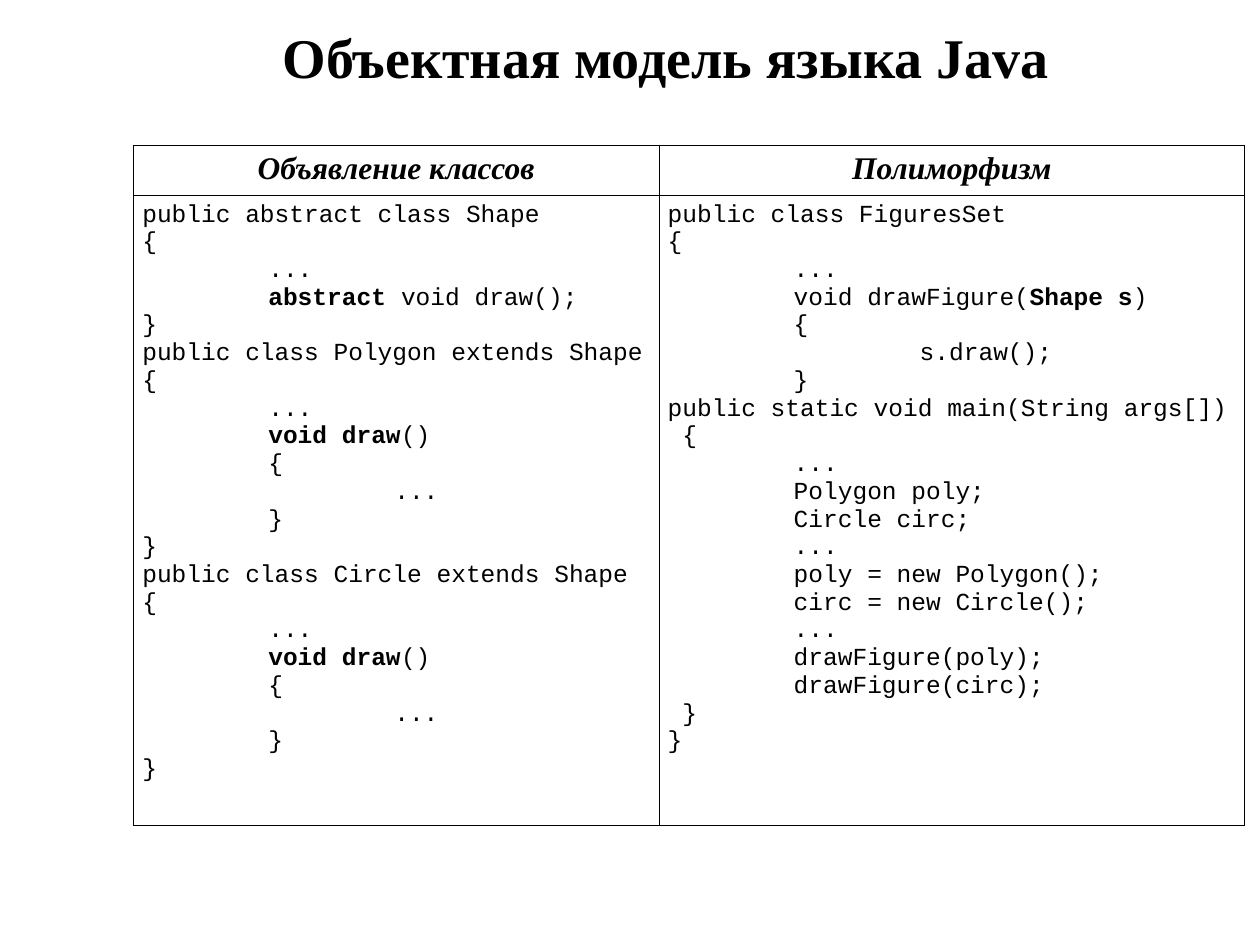
from dataclasses import dataclass

from lxml.etree import SubElement
from pptx import Presentation
from pptx.dml.color import RGBColor
from pptx.enum.text import MSO_ANCHOR, PP_ALIGN
from pptx.oxml.ns import qn
from pptx.util import Inches, Pt


@dataclass(frozen=True)
class Theme:
    ink: str = "000000"
    heading_font: str = "Times New Roman"
    code_font: str = "Courier New"
    title_size: float = 32
    header_size: float = 18
    code_size: float = 14
    border_width: float = 0.45


# Code listings: ** switches bold on and off
DRAW_METHOD = ["\t...", "**\tvoid draw**()", "\t{", "\t\t...", "\t}", "}"]
CLASSES = [
    "public abstract class Shape",
    "{",
    "\t...",
    "**\tabstract **void draw();",
    "}",
    "public class Polygon extends Shape {",
    *DRAW_METHOD,
    "public class Circle extends Shape",
    "{",
    *DRAW_METHOD,
]
POLYMORPHISM = [
    "public class FiguresSet",
    "{",
    "\t...",
    "\tvoid drawFigure(**Shape s**)",
    "\t{",
    "\t\ts.draw();",
    "\t}",
    "public static void main(String args[])",
    " {",
    "\t...",
    "\tPolygon poly;",
    "\tCircle circ;",
    "\t...",
    "\tpoly = new Polygon();",
    "\tcirc = new Circle();",
    "\t...",
    "\tdrawFigure(poly);",
    "\tdrawFigure(circ);",
    " }",
    "}",
]


class SlideBuilder:
    def __init__(self, s, theme):
        self.s = s
        self.theme = theme

    def run(self, p, text, font, size, bold=False, italic=False):
        r = p.add_run()
        r.text = text
        r.font.name = font
        r.font.size = Pt(size)
        r.font.bold = bold
        r.font.italic = italic
        r.font.color.rgb = RGBColor.from_string(self.theme.ink)

    def title(self, text, left, top, width, height):
        sp = self.s.shapes.add_textbox(Inches(left), Inches(top), Inches(width), Inches(height))
        tf = sp.text_frame
        tf.word_wrap = True
        tf.vertical_anchor = MSO_ANCHOR.MIDDLE
        p = tf.paragraphs[0]
        p.alignment = PP_ALIGN.CENTER
        self.run(p, text, self.theme.heading_font, self.theme.title_size, bold=True)

    def tab_stops(self, p):
        tabs = SubElement(p._p.get_or_add_pPr(), qn("a:tabLst"))
        for inch in range(8):
            SubElement(tabs, qn("a:tab"), pos=str(Inches(inch)), algn="l")

    def header(self, cell, text):
        p = cell.text_frame.paragraphs[0]
        p.alignment = PP_ALIGN.CENTER
        self.run(p, text, self.theme.heading_font, self.theme.header_size, bold=True, italic=True)

    def code(self, cell, lines):
        tf = cell.text_frame
        for i, line in enumerate(lines):
            p = tf.add_paragraph() if i else tf.paragraphs[0]
            self.tab_stops(p)
            for n, part in enumerate(line.split("**")):
                if part:
                    self.run(p, part, self.theme.code_font, self.theme.code_size, bold=n % 2 == 1)

    def frame(self, cell):
        cell.margin_left = cell.margin_right = Inches(0.07)
        cell.margin_top = cell.margin_bottom = Inches(0.05)
        tc_pr = cell._tc.get_or_add_tcPr()
        for side in "LRTB":
            ln = SubElement(tc_pr, qn(f"a:ln{side}"), w=str(Pt(self.theme.border_width)))
            SubElement(SubElement(ln, qn("a:solidFill")), qn("a:srgbClr"), val=self.theme.ink)
        cell.fill.background()

    def code_table(self, columns, left, top, widths, heights):
        table = self.s.shapes.add_table(
            len(heights), len(widths), Inches(left), Inches(top),
            Inches(sum(widths)), Inches(sum(heights))).table
        table.first_row = table.horz_banding = False
        for row, height in zip(table.rows, heights):
            row.height = Inches(height)
        for i, (width, (heading, lines)) in enumerate(zip(widths, columns)):
            table.columns[i].width = Inches(width)
            self.header(table.cell(0, i), heading)
            self.code(table.cell(1, i), lines)
        for cell in table.iter_cells():
            self.frame(cell)


def main():
    prs = Presentation()
    prs.slide_width, prs.slide_height = Inches(10), Inches(7.5)
    s = prs.slides.add_slide(prs.slide_layouts[6])
    builder = SlideBuilder(s, Theme())

    # Title
    builder.title("Объектная модель языка Java", 1.23, 0.21, 8.11, 0.47)

    # Two code listings side by side
    columns = [("Объявление классов", CLASSES), ("Полиморфизм", POLYMORPHISM)]
    builder.code_table(columns, 1.06, 1.15, widths=[4.17, 4.65], heights=[0.38, 4.9])

    prs.save("out.pptx")


if __name__ == "__main__":
    main()
